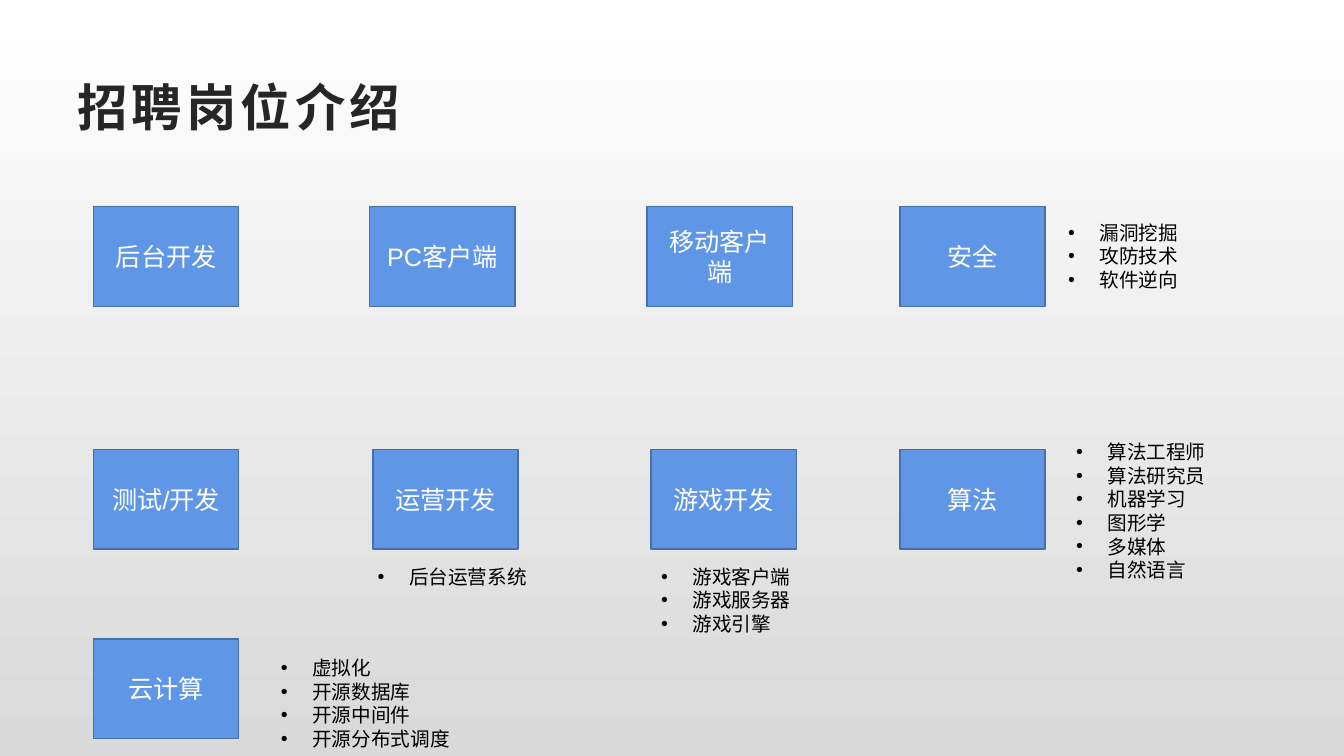
"""Build the slide that introduces the open job positions."""
from pptx import Presentation
from pptx import util as u
from pptx.dml.color import RGBColor
from pptx.enum import shapes, text
from lxml import etree

TITLE = "招聘岗位介绍"
JOBS = [
    ["后台开发", "PC客户端", "移动客户端", "安全"],
    ["测试/开发", "运营开发", "游戏开发", "算法"],
    ["云计算"],
]
LISTS = [
    (26.67, 5.44, ["漏洞挖掘", "攻防技术", "软件逆向"]),
    (26.87, 10.97, ["算法工程师", "算法研究员", "机器学习",
                    "图形学", "多媒体", "自然语言"]),
    (9.27, 14.1, ["后台运营系统"]),
    (16.41, 14.1, ["游戏客户端", "游戏服务器", "游戏引擎"]),
    (6.83, 16.41, ["虚拟化", "开源数据库", "开源中间件", "开源分布式调度"]),
]
COLS = [
    [2.36, 9.32, 16.31, 22.68],
    [2.36, 9.4, 16.41, 22.68],
    [2.36],
]
ROWS = [5.21, 11.33, 16.1]
BOX = (3.66, 2.51)
LINE, PAD, INDENT = 0.6, 0.25, 0.79
THEME = {
    "font": "Arial", "title": 36, "job": 18, "item": 14,
    "dark": "262626", "black": "000000", "white": "FFFFFF",
    "gray": "D9D9D9", "blue": "6096E6", "edge": "476FAA",
}


def tint(name):
    return RGBColor.from_string(THEME[name])


def write(shape, lines, size, color, bold=False, align=text.PP_ALIGN.LEFT,
          anchor=text.MSO_ANCHOR.TOP, gap=0, bullet=False):
    frame = shape.text_frame
    frame.word_wrap = True
    frame.vertical_anchor = anchor
    frame.text = "\n".join(lines)
    for para in frame.paragraphs:
        para.alignment = align
        font = para.runs[0].font
        font.name, font.size, font.bold = THEME["font"], u.Pt(THEME[size]), bold
        font.color.rgb = tint(color)
        if gap:
            font._element.set("spc", str(gap * 100))
        if bullet:
            props = para._p.get_or_add_pPr()
            props.set("marL", str(u.Cm(INDENT)))
            props.set("indent", str(-u.Cm(INDENT)))
            space = props.nsmap["a"]
            face = etree.SubElement(props, f"{{{space}}}buFont")
            face.set("typeface", THEME["font"])
            etree.SubElement(props, f"{{{space}}}buChar").set("char", "•")


def area(slide, *dims):
    return slide.shapes.add_textbox(*map(u.Cm, dims))


def job(slide, left, top, name):
    box = slide.shapes.add_shape(
        shapes.MSO_SHAPE.RECTANGLE, *map(u.Cm, (left, top, *BOX)))
    box.shadow.inherit = False
    box.fill.solid()
    box.fill.fore_color.rgb = tint("blue")
    box.line.color.rgb = tint("edge")
    box.line.width = u.Pt(1)
    write(box, [name], "job", "white", align=text.PP_ALIGN.CENTER,
          anchor=text.MSO_ANCHOR.MIDDLE)


def main():
    deck = Presentation()
    deck.slide_width, deck.slide_height = u.Cm(33.87), u.Cm(19.05)
    slide = deck.slides.add_slide(deck.slide_layouts[6])

    fill = slide.background.fill
    fill.gradient()
    fill.gradient_angle = 270
    for stop, name in zip(fill.gradient_stops, ("white", "gray")):
        stop.color.rgb = tint(name)

    write(area(slide, 1.7, 1.7, 30.48, 1.96), [TITLE], "title", "dark",
          bold=True, anchor=text.MSO_ANCHOR.MIDDLE, gap=3)
    for top, lefts, names in zip(ROWS, COLS, JOBS):
        for left, name in zip(lefts, names):
            job(slide, left, top, name)
    for left, top, items in LISTS:
        high = LINE * len(items) + PAD
        write(area(slide, left, top, 7.42, high), items, "item", "black",
              bullet=True)
    deck.save("out.pptx")


if __name__ == "__main__":
    main()
